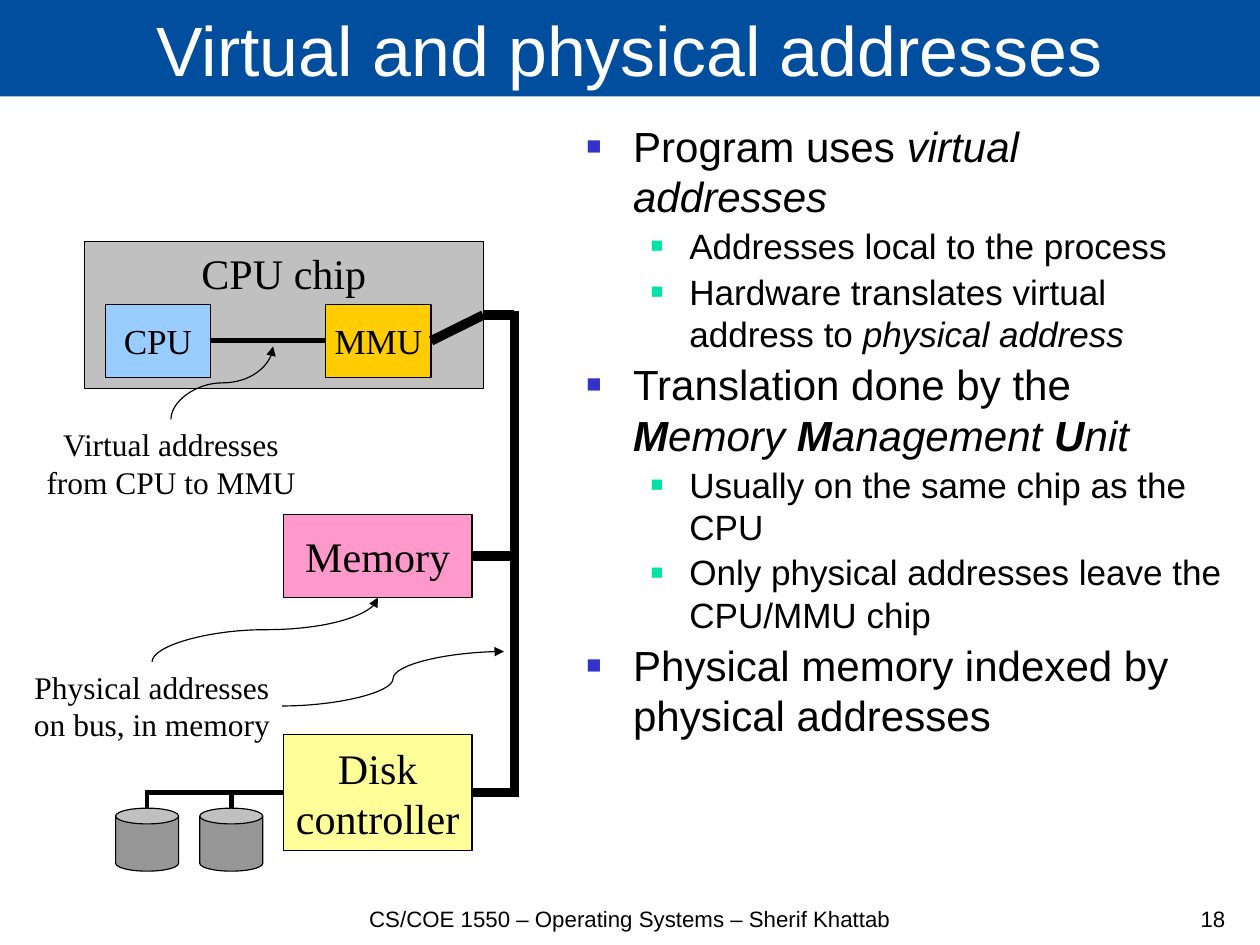
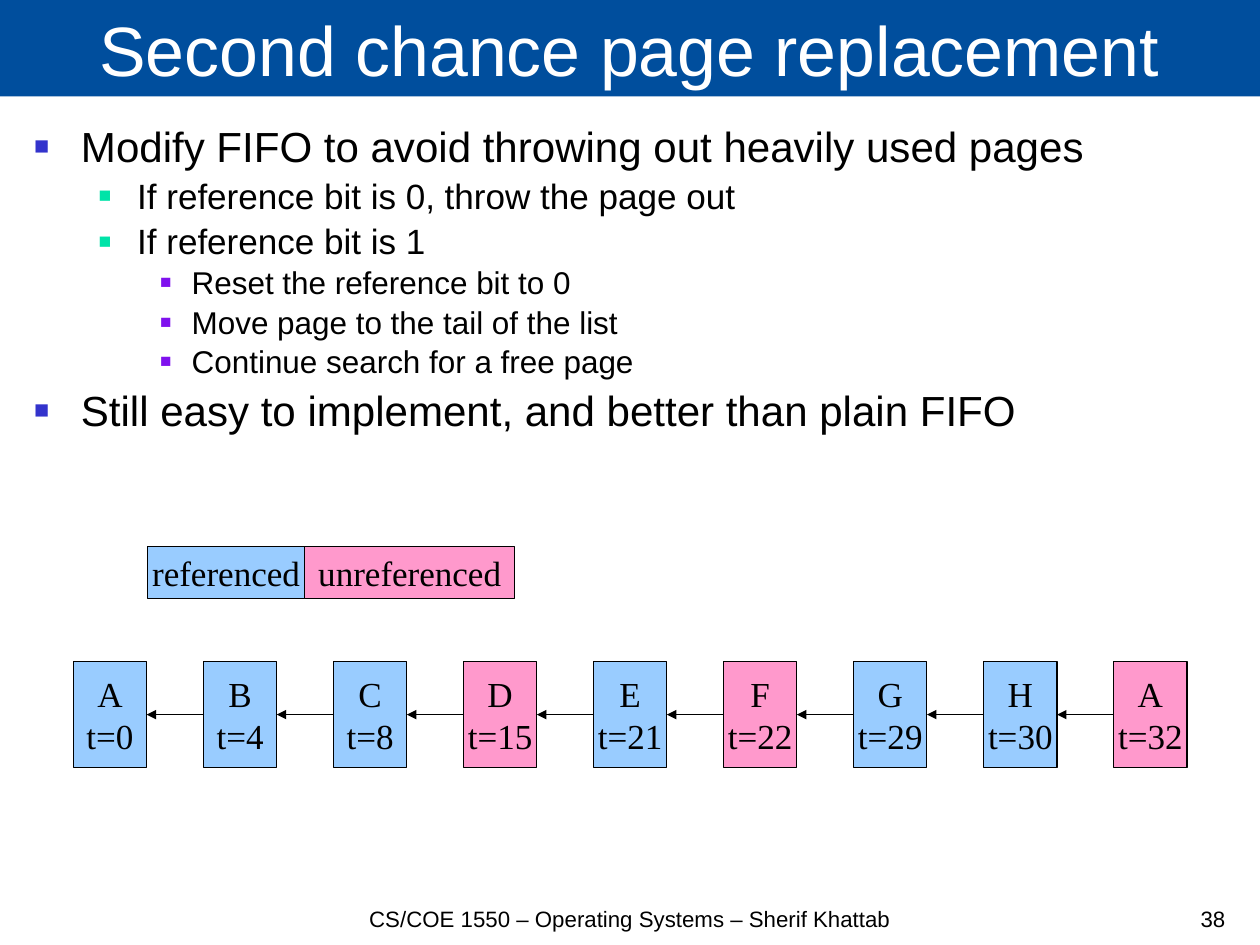
"""Build two operating-systems lecture slides on addresses and page replacement."""
from dataclasses import dataclass

from lxml import etree
from pptx import Presentation
from pptx.dml.color import RGBColor
from pptx.enum.shapes import MSO_CONNECTOR, MSO_SHAPE
from pptx.enum.text import MSO_ANCHOR, MSO_AUTO_SIZE, PP_ALIGN
from pptx.oxml.ns import qn
from pptx.util import Cm, Pt

RECTANGLE, CAN = MSO_SHAPE.RECTANGLE, MSO_SHAPE.CAN
STRAIGHT, CURVE = MSO_CONNECTOR.STRAIGHT, MSO_CONNECTOR.CURVE
TOP, MIDDLE, BOTTOM = MSO_ANCHOR.TOP, MSO_ANCHOR.MIDDLE, MSO_ANCHOR.BOTTOM
LEFT, CENTER, RIGHT = PP_ALIGN.LEFT, PP_ALIGN.CENTER, PP_ALIGN.RIGHT
NO_AUTO_SIZE = MSO_AUTO_SIZE.NONE
SIDE_TOP, SIDE_LEFT, SIDE_BOTTOM, SIDE_RIGHT = range(4)


@dataclass(frozen=True)
class Theme:
    sans: str = "Arial"
    serif: str = "Times New Roman"
    band: str = "004E9D"
    white: str = "FFFFFF"
    black: str = "000000"
    chip: str = "C0C0C0"
    blue: str = "99CCFF"
    pink: str = "FF99CC"
    yellow: str = "FFFF99"
    gold: str = "FFCC00"
    disk: str = "969696"
    title_size: float = 44
    large: float = 26.5
    medium: float = 22.1
    small: float = 19.8
    footer_size: float = 14
    thin: float = 0.75
    link: float = 3
    bus: float = 6


THEME = Theme()
LEVELS = [
    {"size": THEME.large, "indent": 1.04, "hanging": 1.04, "before": 0.1, "bullet": "3333CC"},
    {"size": THEME.medium, "indent": 2.29, "hanging": 0.86, "before": 0.1, "bullet": "00E3A8"},
    {"size": THEME.small, "indent": 3.5, "hanging": 0.7, "before": 0.05, "bullet": "7F11EE"},
]
FOOTER = "CS/COE 1550 – Operating Systems – Sherif Khattab"
PAGES = [
    {"title": "Virtual and physical addresses", "number": "18", "left": 12.83, "width": 14.58,
     "body": [
         (0, [("Program uses ", ""), ("virtual addresses", "i")]),
         (1, [("Addresses local to the process", "")]),
         (1, [("Hardware translates virtual address to ", ""), ("physical address", "i")]),
         (0, [("Translation done by the ", ""), ("M", "bi"), ("emory ", "i"), ("M", "bi"),
              ("anagement ", "i"), ("U", "bi"), ("nit", "i")]),
         (1, [("Usually on the same chip as the CPU", "")]),
         (1, [("Only physical addresses leave the CPU/MMU chip", "")]),
         (0, [("Physical memory indexed by physical addresses", "")]),
     ]},
    {"title": "Second chance page replacement", "number": "38", "left": 0.56, "width": 26.87,
     "body": [
         (0, [("Modify FIFO to avoid throwing out heavily used pages", "")]),
         (1, [("If reference bit is 0, throw the page out", "")]),
         (1, [("If reference bit is 1", "")]),
         (2, [("Reset the reference bit to 0", "")]),
         (2, [("Move page to the tail of the list", "")]),
         (2, [("Continue search for a free page", "")]),
         (0, [("Still easy to implement, and better than plain FIFO", "")]),
     ]},
]


def write(shape, text, size=THEME.medium, font=THEME.serif, color=THEME.black, align=CENTER,
          anchor=MIDDLE, wrap=False, fill=None, outline=False):
    if fill:
        shape.shadow.inherit = False
        shape.fill.solid()
        shape.fill.fore_color.rgb = RGBColor.from_string(fill)
    if outline:
        shape.line.color.rgb = RGBColor.from_string(THEME.black)
        shape.line.width = Pt(THEME.thin)
    frame = shape.text_frame
    frame.auto_size = NO_AUTO_SIZE
    frame.word_wrap = wrap
    frame.vertical_anchor = anchor
    frame.margin_left = frame.margin_right = Cm(0.2)
    frame.margin_top = frame.margin_bottom = Cm(0.13)
    lines = [[(line, "")] for line in text.split("\n")] if isinstance(text, str) else text
    for index, runs in enumerate(lines):
        paragraph = frame.add_paragraph() if index else frame.paragraphs[0]
        paragraph.alignment = align
        for content, style in runs:
            run = paragraph.add_run()
            run.text = content
            run.font.name = font
            run.font.size = Pt(size)
            run.font.bold = "b" in style
            run.font.italic = "i" in style
            run.font.color.rgb = RGBColor.from_string(color)


def add_line(slide, start=(0, 0), end=(0, 0), begin=None, finish=None, kind=STRAIGHT,
             width=THEME.thin, arrow=False):
    connector = slide.shapes.add_connector(kind, *[Cm(value) for value in (*start, *end)])
    if begin:
        connector.begin_connect(*begin)
    if finish:
        connector.end_connect(*finish)
    connector.line.color.rgb = RGBColor.from_string(THEME.black)
    connector.line.width = Pt(width)
    properties = connector.element.spPr
    if arrow:
        etree.SubElement(properties.find(qn("a:ln")), qn("a:tailEnd"), type="triangle")
    etree.SubElement(properties, qn("a:effectLst"))
    return connector


presentation = Presentation()
presentation.slide_width, presentation.slide_height = Cm(28), Cm(21)
slides = []
for page in PAGES:
    slide = presentation.slides.add_slide(presentation.slide_layouts[5])
    slides.append(slide)
    title = slide.shapes.title
    title.left, title.top, title.width, title.height = Cm(0), Cm(0), Cm(28), Cm(2.14)
    write(title, page["title"], size=THEME.title_size, font=THEME.sans, color=THEME.white,
          anchor=BOTTOM, wrap=True, fill=THEME.band)

    body = slide.shapes.add_textbox(Cm(page["left"]), Cm(2.54), Cm(page["width"]), Cm(17.07))
    write(body, [runs for _, runs in page["body"]], font=THEME.sans, align=LEFT, anchor=TOP,
          wrap=True)
    for paragraph, (level, _) in zip(body.text_frame.paragraphs, page["body"]):
        style = LEVELS[level]
        paragraph.level = level
        paragraph.space_before = Pt(style["size"] * style["before"])
        for run in paragraph.runs:
            run.font.size = Pt(style["size"])
        properties = paragraph._p.get_or_add_pPr()
        properties.set("marL", str(Cm(style["indent"])))
        properties.set("indent", str(-Cm(style["hanging"])))
        bullet_color = etree.SubElement(properties, qn("a:buClr"))
        etree.SubElement(bullet_color, qn("a:srgbClr"), val=style["bullet"])
        etree.SubElement(properties, qn("a:buSzPct"), val="60000")
        etree.SubElement(properties, qn("a:buFont"), typeface=THEME.sans)
        etree.SubElement(properties, qn("a:buChar"), char="■")

    for text, left, width, align in [(FOOTER, 5.72, 16.56, CENTER),
                                     (page["number"], 26.26, 1.17, RIGHT)]:
        footer = slide.shapes.add_textbox(Cm(left), Cm(20.07), Cm(width), Cm(0.76))
        write(footer, text, size=THEME.footer_size, font=THEME.sans, align=align,
              anchor=BOTTOM, wrap=True)

address_slide, replacement_slide = slides

boxes = {}
for text, left, top, width, height, fill, size, anchor in [
    ("CPU chip", 1.88, 5.36, 8.86, 3.28, THEME.chip, THEME.large, TOP),
    ("CPU", 2.34, 6.76, 2.34, 1.63, THEME.blue, THEME.medium, MIDDLE),
    ("MMU", 7.24, 6.76, 2.34, 1.63, THEME.gold, THEME.medium, MIDDLE),
    ("Memory", 6.3, 11.43, 4.19, 1.85, THEME.pink, THEME.large, MIDDLE),
    ("Disk\ncontroller", 6.3, 16.33, 4.19, 2.57, THEME.yellow, THEME.large, MIDDLE),
]:
    box = address_slide.shapes.add_shape(RECTANGLE, Cm(left), Cm(top), Cm(width), Cm(height))
    write(box, text, size=size, anchor=anchor, fill=fill, outline=True)
    boxes[text] = box
chip, cpu, mmu, memory, controller = boxes.values()

labels = []
for text, left, top, width in [
    ("Virtual addresses\nfrom CPU to MMU", 0.74, 9.32, 6.12),
    ("Physical addresses\non bus, in memory", 0.48, 14.71, 5.79),
]:
    label = address_slide.shapes.add_textbox(Cm(left), Cm(top), Cm(width), Cm(1.96))
    write(label, text, size=THEME.small, anchor=TOP)
    labels.append(label)
virtual_label, physical_label = labels

add_line(address_slide, begin=(cpu, SIDE_RIGHT), finish=(mmu, SIDE_LEFT), width=THEME.link)
add_line(address_slide, begin=(mmu, SIDE_RIGHT), finish=(chip, SIDE_RIGHT), width=THEME.bus)
bus_x, bus_overlap = 11.43, 0.1
bus_levels = [(box.top + box.height / 2) / Cm(1) for box in (chip, memory, controller)]
add_line(address_slide, (bus_x, bus_levels[0] - bus_overlap),
         (bus_x, bus_levels[-1] + bus_overlap), width=THEME.bus)
for box, level in zip((chip, memory, controller), bus_levels):
    add_line(address_slide, end=(bus_x, level), begin=(box, SIDE_RIGHT), width=THEME.bus)

disk_size, disk_top, disk_lefts = 1.4, 17.96, (2.57, 4.44)
rail_y = bus_levels[-1]
add_line(address_slide, end=(disk_lefts[0] + disk_size / 2 - 0.05, rail_y),
         begin=(controller, SIDE_LEFT), width=THEME.link)
for left in disk_lefts:
    center = left + disk_size / 2
    add_line(address_slide, (center, rail_y), (center, disk_top), width=THEME.link)
    disk = address_slide.shapes.add_shape(CAN, Cm(left), Cm(disk_top), Cm(disk_size),
                                          Cm(disk_size))
    write(disk, "", fill=THEME.disk, outline=True)

for label, finish, (start_x, start_y), (end_x, end_y) in [
    (virtual_label, None, (3.8, 9.32), (6.07, 7.7)),
    (physical_label, (memory, SIDE_BOTTOM), (3.38, 14.71), (8.4, 13.28)),
]:
    curve = add_line(address_slide, (start_x, start_y), (end_x, end_y),
                     begin=(label, SIDE_TOP), finish=finish, kind=CURVE, arrow=True)
    width, height = start_y - end_y, end_x - start_x
    curve.left, curve.top = Cm((start_x + end_x - width) / 2), Cm((start_y + end_y - height) / 2)
    curve.width, curve.height = Cm(width), Cm(height)
    transform = curve.element.spPr.find(qn("a:xfrm"))
    for name, value in [("rot", "5400000"), ("flipH", "1"), ("flipV", "1")]:
        transform.set(name, value)
add_line(address_slide, end=(11.2, 14.48), begin=(physical_label, SIDE_RIGHT), kind=CURVE,
         arrow=True)

for text, left, width, fill in [("referenced", 3.28, 3.49, THEME.blue),
                                ("unreferenced", 6.77, 4.67, THEME.pink)]:
    legend = replacement_slide.shapes.add_shape(RECTANGLE, Cm(left), Cm(12.14), Cm(width),
                                                Cm(1.17))
    write(legend, text, fill=fill, outline=True)

queue = [("A", 0, True), ("B", 4, True), ("C", 8, True), ("D", 15, False), ("E", 21, True),
         ("F", 22, False), ("G", 29, True), ("H", 30, True), ("A", 32, False)]
previous = None
for index, (name, time, referenced) in enumerate(queue):
    page_box = replacement_slide.shapes.add_shape(RECTANGLE, Cm(1.63 + 2.89 * index), Cm(14.71),
                                                  Cm(1.63), Cm(2.34))
    write(page_box, f"{name}\nt={time}", fill=THEME.blue if referenced else THEME.pink,
          outline=True)
    if previous:
        add_line(replacement_slide, begin=(page_box, SIDE_LEFT), finish=(previous, SIDE_RIGHT),
                 arrow=True)
    previous = page_box

presentation.save("out.pptx")
